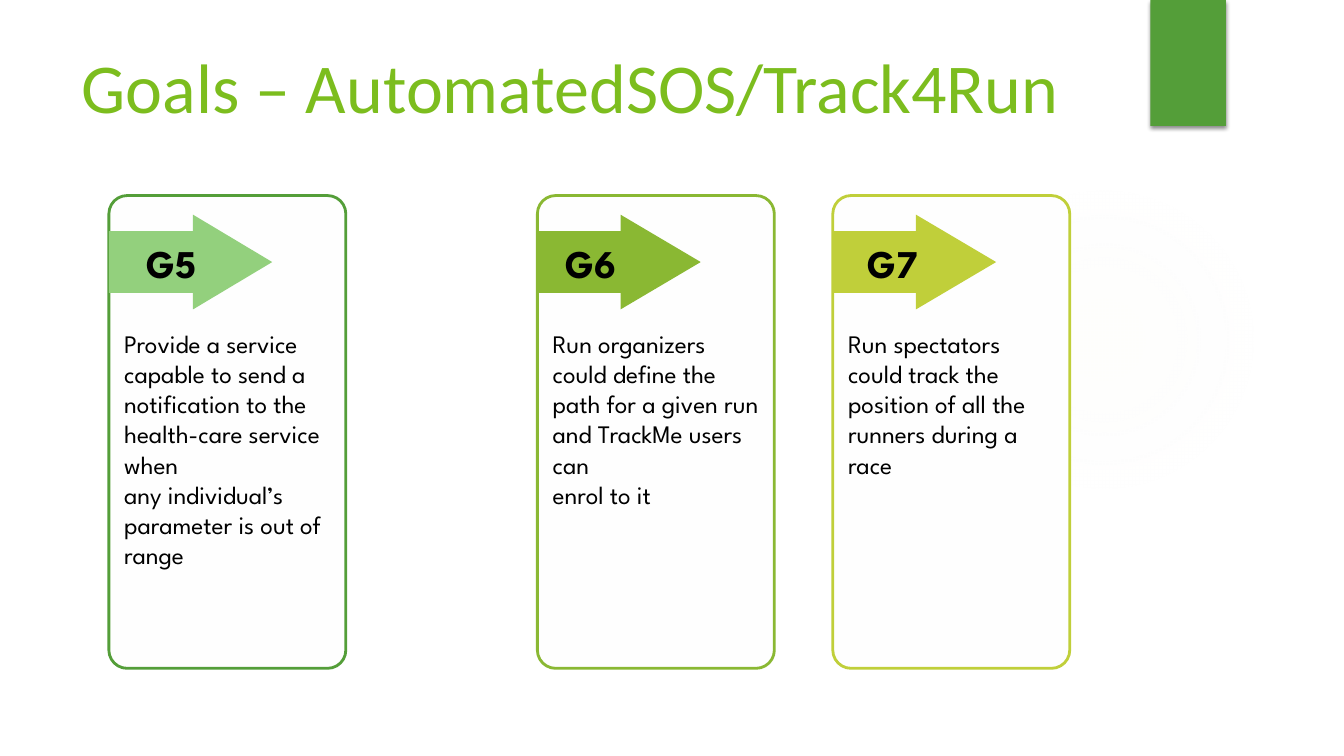
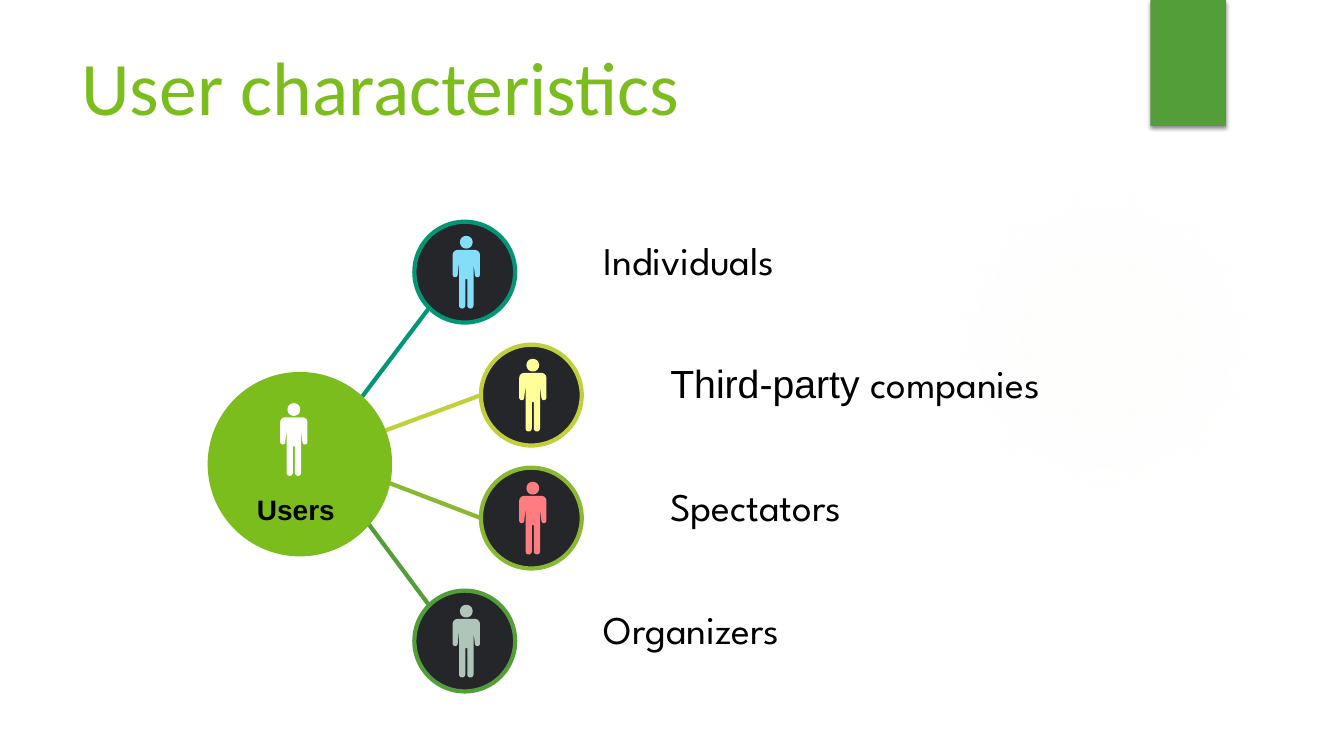
import math

from lxml import etree
from pptx import Presentation, util as u
from pptx.dml.color import RGBColor
from pptx.enum import shapes, text
from pptx.oxml import parse_xml
from pptx.oxml.ns import nsdecls, qn

COLORS = {
    "title": "7CBD1E", "green": "549E39", "light": "93D07D", "olive": "8AB833",
    "lime": "C0CF3A", "teal": "029676", "dark": "25262A", "white": "FEFEFE",
    "black": "000000", "glow": "EEEBE3", "blue": "84DDF9", "yellow": "FFFF99",
    "red": "FF7C80", "grey": "AFC5B9",
}
SPARTAN, ARIAL, CALIBRI = "League Spartan", "Arial", "Calibri"
SHAPE, ALIGN, ANCHOR = shapes.MSO_SHAPE, text.PP_ALIGN, text.MSO_ANCHOR


def add_shape(s, kind, x, y, w, h, fill, line=None, width=3):
    sp = s.shapes.add_shape(kind, u.Inches(x), u.Inches(y), u.Inches(w), u.Inches(h))
    sp.shadow.inherit = False
    sp.fill.solid()
    sp.fill.fore_color.rgb = RGBColor.from_string(COLORS[fill])
    if line:
        sp.line.color.rgb = RGBColor.from_string(COLORS[line])
        sp.line.width = u.Pt(width)
    else:
        sp.line.fill.background()
    return sp


def add_text(sp, paragraphs, size, color="black", bold=False,
             align=ALIGN.LEFT, anchor=ANCHOR.TOP):
    """Each paragraph is a list of (text, font) runs."""
    tf = sp.text_frame
    tf.word_wrap = True
    tf.vertical_anchor = anchor
    for i, runs in enumerate(paragraphs):
        p = tf.add_paragraph() if i else tf.paragraphs[0]
        p.alignment = align
        for words, font in runs:
            r = p.add_run()
            r.text = words
            r.font.name = font
            r.font.size = u.Pt(size)
            r.font.bold = bold
            r.font.color.rgb = RGBColor.from_string(COLORS[color])
    return tf


prs = Presentation()
prs.slide_width, prs.slide_height = u.Inches(13.33), u.Inches(7.5)

# Shared frame: faint glow, green tab and title
for title, size in [("Goals – AutomatedSOS/Track4Run", 50), ("User characteristics", 54)]:
    s = prs.slides.add_slide(prs.slide_layouts[6])
    glow = add_shape(s, SHAPE.OVAL, 9.41, 1.83, 3.08, 3.08, "glow")
    stops = "".join(
        f'<a:gs pos="{pos}000"><a:srgbClr val="{COLORS["glow"]}">'
        f'<a:alpha val="{alpha}000"/></a:srgbClr></a:gs>'
        for pos, alpha in [(0, 7), (36, 6), (69, 0)])
    solid = glow._element.spPr.find(qn("a:solidFill"))
    glow._element.spPr.replace(solid, parse_xml(
        f'<a:gradFill {nsdecls("a")}><a:gsLst>{stops}</a:gsLst><a:path path="circle">'
        '<a:fillToRect l="50000" t="50000" r="50000" b="50000"/></a:path></a:gradFill>'))

    tab = add_shape(s, SHAPE.RECTANGLE, 11.41, 0, 0.75, 1.25, "green")
    tab._element.spPr.find(qn("a:effectLst")).append(parse_xml(
        f'<a:outerShdw {nsdecls("a")} blurRad="{u.Pt(3)}" dist="{u.Pt(2)}" dir="5400000" '
        f'rotWithShape="0"><a:srgbClr val="{COLORS["black"]}"><a:alpha val="45000"/>'
        '</a:srgbClr></a:outerShdw>'))

    box = s.shapes.add_textbox(u.Inches(0.71), u.Inches(0.38), u.Inches(10.57), u.Inches(0.94))
    tf = add_text(box, [[(title, CALIBRI)]], size, "title", anchor=ANCHOR.MIDDLE)
    tf.paragraphs[0].space_before = u.Pt(10)

goals, users = prs.slides

# Goal cards: left, label, label centre from the left, outline, arrow colour, arrow head, text
cards = [
    (1.08, "G5", 0.62, "green", "light", 0.836,
     ["Provide a service capable to send a notification to the health-care service when",
      "any individual’s parameter is out of range"]),
    (5.33, "G6", 0.53, "olive", "olive", 0.846,
     ["Run organizers could define the path for a given run and TrackMe users can",
      "enrol to it"]),
    (8.26, "G7", 0.59, "lime", "lime", 0.846,
     ["Run spectators could track the position of all the runners during a race"]),
]
label_w = 1
for x, label, middle, outline, fill, head, lines in cards:
    card = add_shape(goals, SHAPE.ROUNDED_RECTANGLE, x, 1.94, 2.35, 4.69, "white", outline, 2)
    card.adjustments[0] = 0.077
    tf = add_text(card, [[(line, SPARTAN)] for line in lines], 18)
    tf.margin_top = u.Inches(1.26)
    arrow = add_shape(goals, SHAPE.RIGHT_ARROW, x, 2.13, 1.62, 0.94, fill)
    arrow.adjustments[0], arrow.adjustments[1] = 0.651, head
    box = goals.shapes.add_textbox(u.Inches(x + middle - label_w / 2), u.Inches(2.33),
                                   u.Inches(label_w), u.Inches(0.57))
    add_text(box, [[(label, SPARTAN)]], 28, bold=True, align=ALIGN.CENTER)

# User groups: circle left, where the spoke meets the circle, colours, name
groups = [
    (4.11, 0.15, 0.85, "teal", "blue", [("Individuals", SPARTAN)]),
    (4.77, 0, 0.5, "lime", "yellow", [("Third-party ", ARIAL), ("companies", SPARTAN)]),
    (4.77, 0, 0.5, "olive", "red", [("Spectators", SPARTAN)]),
    (4.11, 0.15, 0.15, "green", "grey", [("Organizers", SPARTAN)]),
]
people = [(2.78, 4, "white")]
for i, (x, dx, dy, outline, figure, name) in enumerate(groups):
    y = 2.2 + 1.22 * i
    spoke = users.shapes.add_connector(shapes.MSO_CONNECTOR.STRAIGHT, u.Inches(3.15),
                                       u.Inches(4.52), u.Inches(x + dx), u.Inches(y + dy))
    spoke.line.color.rgb = RGBColor.from_string(COLORS[outline])
    spoke.line.width = u.Pt(3)
    etree.SubElement(spoke._element.spPr, qn("a:effectLst"))
    add_shape(users, SHAPE.OVAL, x, y, 1, 1, "dark", outline)
    box = users.shapes.add_textbox(u.Inches(x + 1.78), u.Inches(y + 0.1),
                                   u.Inches(5.45), u.Inches(0.57))
    add_text(box, [name], 28)
    people.append((x + 0.38, y + 0.14, figure))

# Hub
add_shape(users, SHAPE.OVAL, 2.06, 3.69, 1.83, 1.83, "title")
box = users.shapes.add_textbox(u.Inches(2.16), u.Inches(4.83), u.Inches(1.55), u.Inches(0.44))
add_text(box, [[("Users", ARIAL)]], 20, bold=True, align=ALIGN.CENTER, anchor=ANCHOR.MIDDLE)

# Person outline in thousandths of an inch: right half from arcs, left half mirrored
half = []
for cx, cy, radius, start, end in [(220, 190, 50, -90, 0),    # shoulder
                                   (245, 385, 25, 0, 180),    # hand
                                   (207, 260, 0, 0, 0),       # armpit
                                   (176, 690, 31, 0, 180),    # foot
                                   (145, 430, 0, 0, 0)]:      # crotch
    for k in range(9 if radius else 1):
        angle = math.radians(start + (end - start) * k / 8)
        half.append((cx + radius * math.cos(angle), cy + radius * math.sin(angle)))
body = half + [(270 - px, py) for px, py in reversed(half)]
head = [(135 + 63 * math.cos(math.radians(a)), 63 + 63 * math.sin(math.radians(a)))
        for a in range(0, 360, 15)]

for x, y, color in people:
    fb = users.shapes.build_freeform(*body[0], scale=u.Inches(1) / 1000)
    fb.add_line_segments(body[1:], close=True)
    fb.move_to(*head[0])
    fb.add_line_segments(head[1:], close=True)
    person = fb.convert_to_shape(u.Inches(x), u.Inches(y))
    person.shadow.inherit = False
    person.fill.solid()
    person.fill.fore_color.rgb = RGBColor.from_string(COLORS[color])
    person.line.fill.background()

prs.save("out.pptx")
